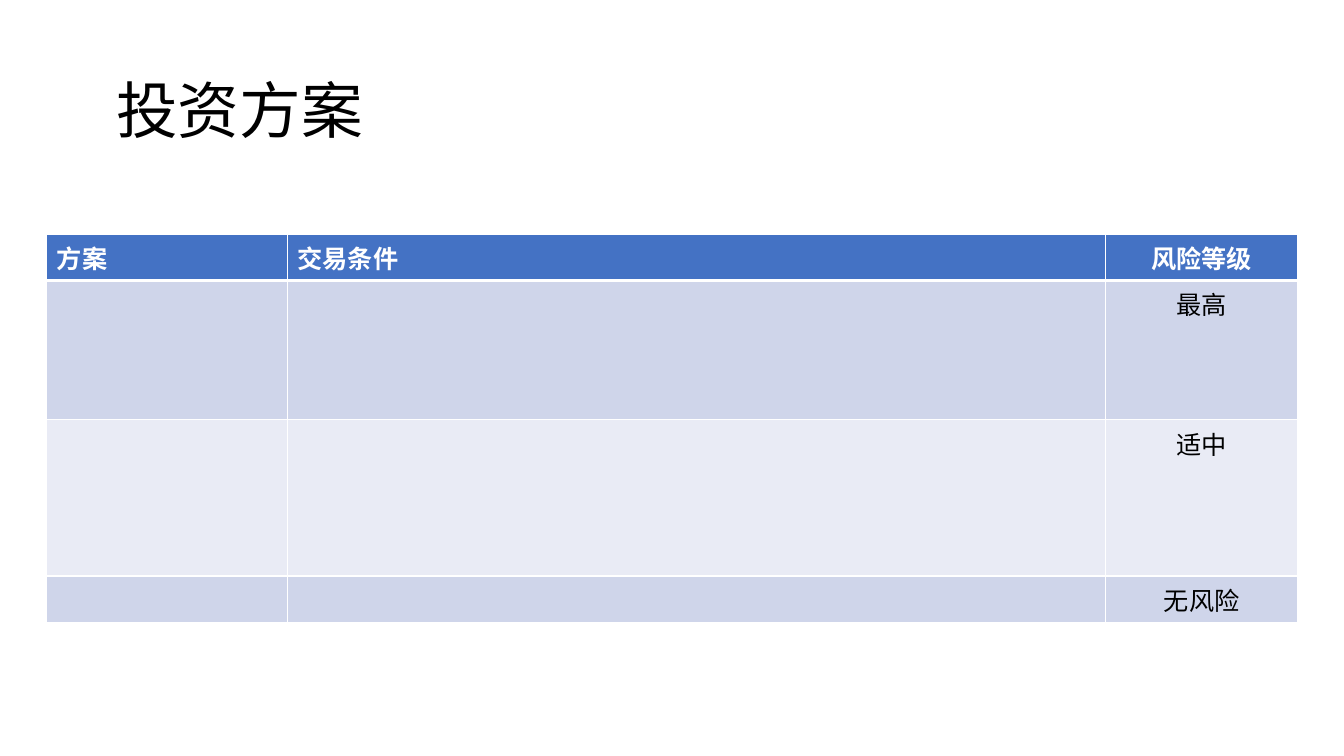
from lxml import etree
from pptx import Presentation
from pptx.dml.color import RGBColor
from pptx.enum import text as t
from pptx.oxml.ns import qn
from pptx.util import Pt

# Content
TITLE = " 投资方案"
ROWS = [
    ("方案", "交易条件", "风险等级"),
    ("", "", "最高"),
    ("", "", "适中"),
    ("", "", "无风险"),
]

# Layout and style
WIDTHS = [172, 584.5, 137]
HEIGHTS = [33, 99.5, 111.5, 33]
FACE = "Noto Sans CJK SC"
HEAD, BANDS = "4472C4", ("CFD5EA", "E9EBF5")
WHITE, BLACK = "FFFFFF", "000000"


def paint(color, code):
    color.rgb = RGBColor.from_string(code)


def fill(part, code):
    part.solid()
    paint(part.fore_color, code)


def style(para, size, code, align, bold=False):
    font = para.font
    font.size, font.bold, font.name = Pt(size), bold, FACE
    fill(font.fill, code)
    para.alignment = align
    # East Asian typeface follows the Latin one
    latin = font._element.find(qn("a:latin"))
    east = etree.Element(qn("a:ea"), typeface=FACE)
    latin.addnext(east)


def border(cell, base):
    props = cell._tc.get_or_add_tcPr()
    for side, width in (("L", 1), ("R", 1), ("T", 1), ("B", base)):
        line = etree.SubElement(props, qn("a:ln" + side), w=str(Pt(width)))
        solid = etree.SubElement(line, qn("a:solidFill"))
        etree.SubElement(solid, qn("a:srgbClr"), val=WHITE)


deck = Presentation()
deck.slide_width, deck.slide_height = Pt(960), Pt(540)
slide = deck.slides.add_slide(deck.slide_layouts[5])

# Title
title = slide.shapes.title
title.left, title.top, title.width, title.height = map(Pt, (66, 28.75, 828, 104.4))
frame = title.text_frame
frame.text = TITLE
frame.vertical_anchor = t.MSO_ANCHOR.MIDDLE
para = frame.paragraphs[0]
para.line_spacing = 0.9
style(para, 44, BLACK, t.PP_ALIGN.LEFT)

# Table of plans
box = slide.shapes.add_table(
    len(ROWS), len(WIDTHS), Pt(33.4), Pt(167.1), Pt(sum(WIDTHS)), Pt(sum(HEIGHTS)))
table = box.table
for col, width in zip(table.columns, WIDTHS):
    col.width = Pt(width)
for row, height in zip(table.rows, HEIGHTS):
    row.height = Pt(height)

for r, words in enumerate(ROWS):
    head = r == 0
    for c, word in enumerate(words):
        cell = table.cell(r, c)
        # The rule under the header is shared with the row below it
        border(cell, 3 if head else 1)
        if r == 1:
            cell._tc.tcPr.find(qn("a:lnT")).set("w", str(Pt(3)))
        fill(cell.fill, HEAD if head else BANDS[(r - 1) % 2])
        cell.text = word
        last = c == len(words) - 1
        style(cell.text_frame.paragraphs[0], 18, WHITE if head else BLACK,
              t.PP_ALIGN.CENTER if last else t.PP_ALIGN.LEFT, head)

deck.save("out.pptx")
